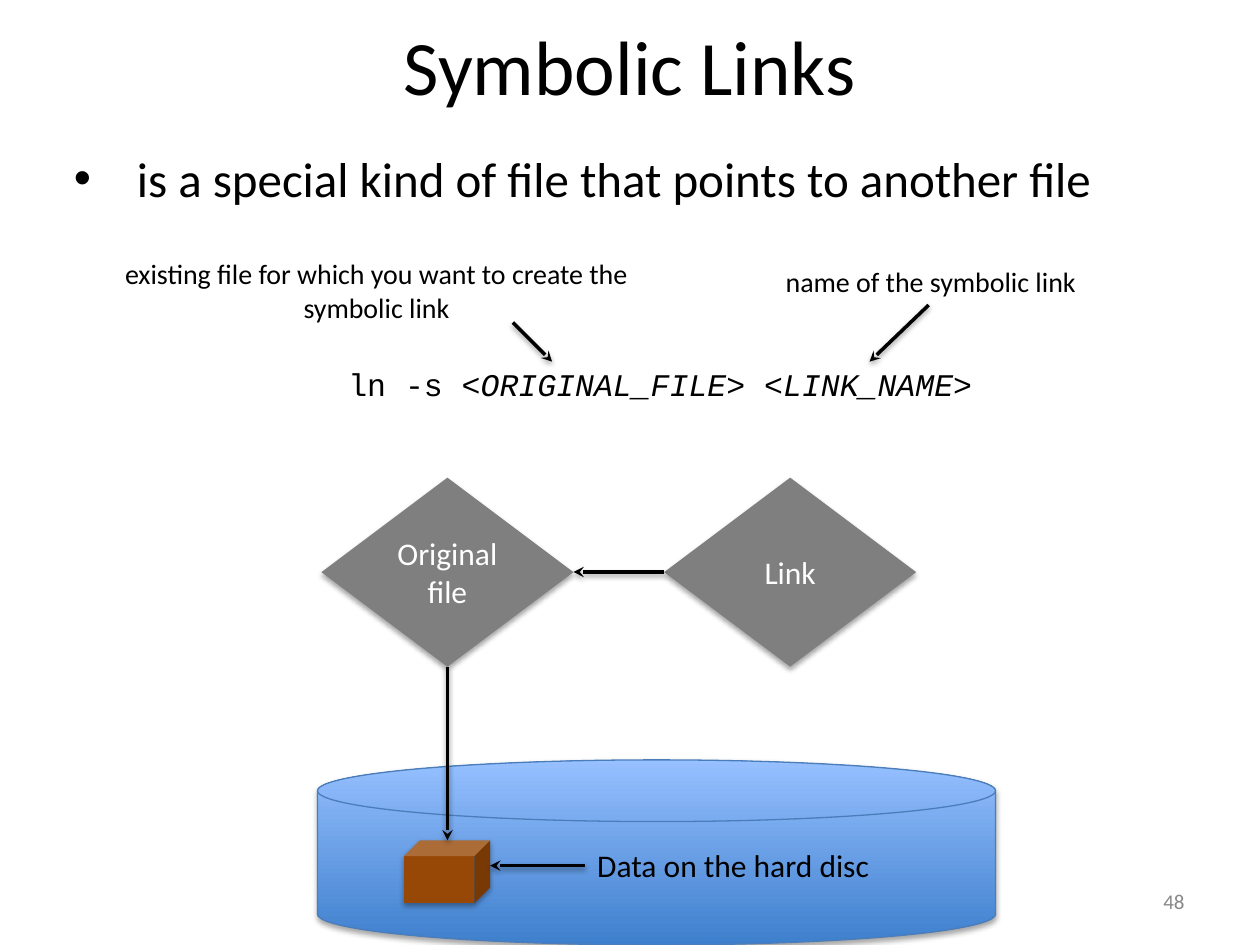
from lxml import etree
from pptx import Presentation
from pptx.dml.color import RGBColor
from pptx.enum.shapes import MSO_CONNECTOR, MSO_SHAPE
from pptx.enum.text import MSO_ANCHOR, PP_ALIGN
from pptx.oxml.ns import qn
from pptx.util import Cm, Pt

LEFT, MID, RIGHT = PP_ALIGN.LEFT, PP_ALIGN.CENTER, PP_ALIGN.RIGHT
TOP, CENTER = MSO_ANCHOR.TOP, MSO_ANCHOR.MIDDLE
DIAMOND, DISK, CUBE = MSO_SHAPE.DIAMOND, MSO_SHAPE.FLOWCHART_MAGNETIC_DISK, MSO_SHAPE.CUBE
LINE = MSO_CONNECTOR.STRAIGHT
hue = RGBColor.from_string


def shade(props, dist, alpha):
    """Put a soft shadow below a shape or line."""
    effects = props.find(qn("a:effectLst"))
    if effects is None:
        effects = etree.SubElement(props, qn("a:effectLst"))
    outer = etree.SubElement(effects, qn("a:outerShdw"), blurRad=str(Pt(3.1)),
                             dist=str(Pt(dist)), dir="5400000", rotWithShape="0")
    black = etree.SubElement(outer, qn("a:srgbClr"), val="000000")
    etree.SubElement(black, qn("a:alpha"), val=str(alpha * 1000))


def write(frame, text, size, color="000000", align=MID, anchor=TOP, face="Calibri"):
    frame.word_wrap = True
    frame.vertical_anchor = anchor
    frame.text = text
    para = frame.paragraphs[0]
    para.alignment = align
    font = para.runs[0].font
    font.name, font.size, font.color.rgb = face, Pt(size), hue(color)
    return para


deck = Presentation()
deck.slide_width, deck.slide_height = Cm(25.4), Cm(19.05)
slide = deck.slides.add_slide(deck.slide_layouts[6])
shapes = slide.shapes

# Files, hard disc and data block
for kind, left, top, width, height, fill, label in [
    (DIAMOND, 6.48, 9.63, 5.08, 3.81, "7F7F7F", "Original file"),
    (DIAMOND, 13.39, 9.63, 5.08, 3.81, "7F7F7F", "Link"),
    (DISK, 6.4, 15.32, 13.67, 3.73, None, None),
    (CUBE, 8.15, 16.94, 1.73, 1.27, "974806", None),
]:
    shape = shapes.add_shape(kind, Cm(left), Cm(top), Cm(width), Cm(height))
    if fill:
        shape.fill.solid()
        shape.fill.fore_color.rgb = hue(fill)
        shape.line.fill.background()
    else:
        shape.fill.gradient()
        shape.fill.gradient_angle = 90
        for stop, color in zip(shape.fill.gradient_stops, ("3E7FCD", "96C0FF")):
            stop.color.rgb = hue(color)
        shape.line.color.rgb = hue("4A7DBA")
        shape.line.width = Pt(0.75)
    shape.shadow.inherit = False
    shade(shape._element.spPr, 1.8, 35)
    if label:
        write(shape.text_frame, label, 18, "FFFFFF", anchor=CENTER)

# Arrows
for x1, y1, x2, y2 in [
    (13.39, 11.53, 11.56, 11.53),
    (9.02, 13.44, 9.02, 16.94),
    (11.79, 17.45, 9.88, 17.45),
    (10.34, 6.5, 11.13, 7.29),
    (18.72, 6.15, 17.53, 7.29),
]:
    arrow = shapes.add_connector(LINE, Cm(x1), Cm(y1), Cm(x2), Cm(y2))
    arrow.line.color.rgb = hue("000000")
    arrow.line.width = Pt(2)
    props = arrow._element.spPr
    etree.SubElement(props.find(qn("a:ln")), qn("a:tailEnd"), type="stealth")
    shade(props, 1.6, 38)

# Title, captions and slide number
for left, top, width, height, text, size, color, align, anchor in [
    (1.27, -0.28, 22.86, 3.18, "Symbolic Links", 44, "000000", MID, CENTER),
    (1.24, 5.05, 12.7, 1.63, "existing file for which you want to create the symbolic link",
     16, "000000", MID, TOP),
    (15.54, 5.21, 6.45, 0.94, "name of the symbolic link", 16, "000000", MID, TOP),
    (11.79, 16.94, 6.07, 1.02, "Data on the hard disc", 18, "000000", LEFT, TOP),
    (18.21, 17.65, 5.92, 1.02, "48", 12, "888888", RIGHT, CENTER),
]:
    box = shapes.add_textbox(Cm(left), Cm(top), Cm(width), Cm(height))
    write(box.text_frame, text, size, color, align, anchor)

# Bulleted definition
box = shapes.add_textbox(Cm(1.24), Cm(2.87), Cm(22.66), Cm(1.45))
para = write(box.text_frame, "is a special kind of file that points to another file", 28, align=LEFT)
props = para._p.get_or_add_pPr()
props.set("marL", str(Cm(1.27)))
props.set("indent", str(-Cm(1.27)))
etree.SubElement(props, qn("a:buFont"), typeface="Arial")
etree.SubElement(props, qn("a:buChar"), char="•")

# Command with italic arguments
box = shapes.add_textbox(Cm(6.68), Cm(7.24), Cm(13.26), Cm(1.02))
para = write(box.text_frame, "ln -s ", 18, face="Courier New")
args = para.add_run()
args.text = "<ORIGINAL_FILE> <LINK_NAME>"
args.font.name, args.font.size, args.font.italic = "Courier New", Pt(18), True
args.font.color.rgb = hue("000000")

deck.save("out.pptx")
